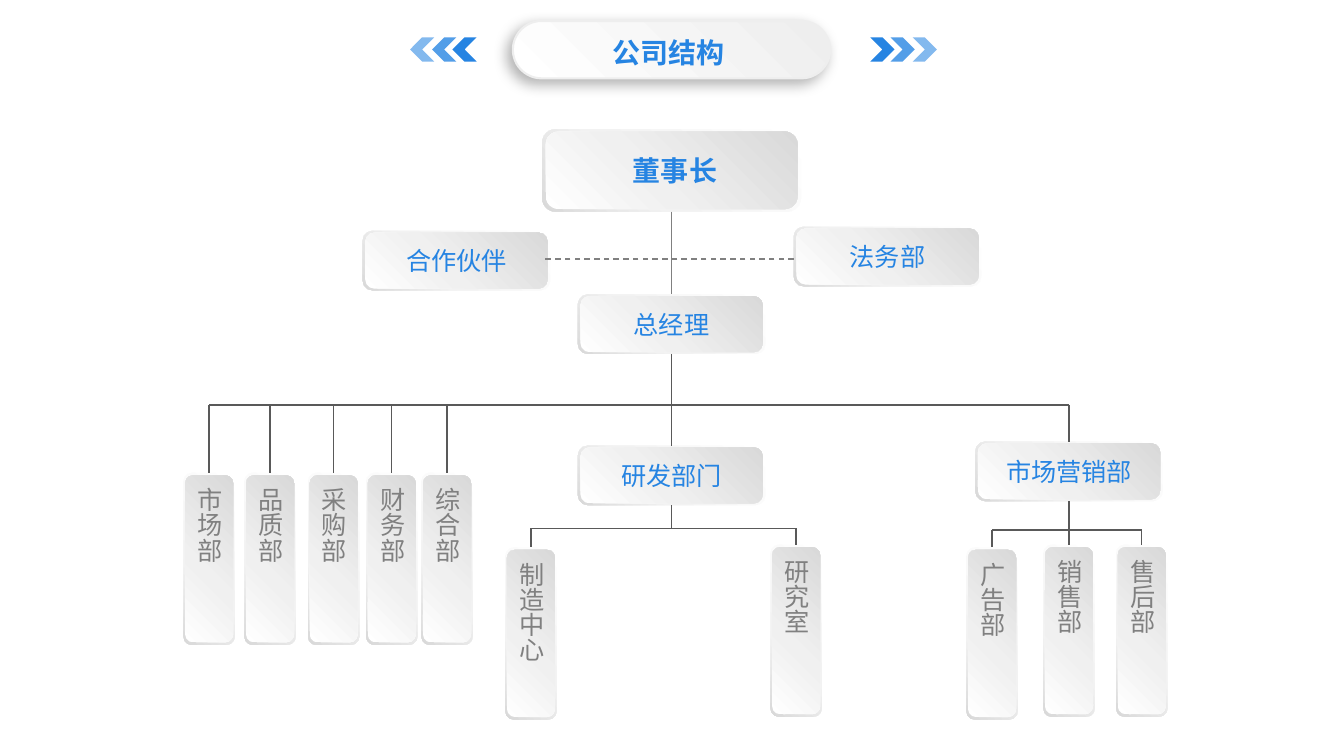
from lxml import etree
from pptx import Presentation
from pptx.dml.color import RGBColor
from pptx.enum.dml import MSO_LINE
from pptx.enum.shapes import MSO_CONNECTOR, MSO_SHAPE as SHAPE
from pptx.enum.text import MSO_ANCHOR, PP_ALIGN
from pptx.oxml import parse_xml
from pptx.oxml.ns import qn
from pptx.util import Pt

BLUE, GREY, DARK = "2684E2", "808080", "595959"
CJK_FONT, TITLE_FONT = "Noto Sans CJK SC", "Roboto Condensed"
NS = 'xmlns:a="http://schemas.openxmlformats.org/drawingml/2006/main"'
RIM_STOPS = [(0, "FFFFFF"), (62, "F2F2F2"), (100, "D9D9D9")]
FACE_STOPS = [(0, "FFFFFF"), (42, "F0F0F0"), (100, "D9D9D9")]
TOP, BOTTOM = 0, 2


def color(hex_value):
    return RGBColor.from_string(hex_value)


def add_box(slide, preset, left, top, width, height):
    box = slide.shapes.add_shape(preset, Pt(left), Pt(top), Pt(width), Pt(height))
    box.shadow.inherit = False
    box.line.fill.background()
    return box


def fill_gradient(box, stops, angle):
    box.fill.background()
    stop_xml = "".join(
        f'<a:gs pos="{pos * 1000}"><a:srgbClr val="{shade}"/></a:gs>' for pos, shade in stops)
    gradient = parse_xml(f'<a:gradFill {NS}><a:gsLst>{stop_xml}</a:gsLst>'
                         f'<a:lin ang="{angle * 60000}" scaled="0"/></a:gradFill>')
    properties = box.element.spPr
    properties.replace(properties.find(qn("a:noFill")), gradient)


def write(frame, text, size, shade, font=CJK_FONT, bold=False):
    frame.text = text
    frame.vertical_anchor = MSO_ANCHOR.MIDDLE
    paragraph = frame.paragraphs[0]
    paragraph.alignment = PP_ALIGN.CENTER
    run = paragraph.runs[0]
    run.font.size, run.font.bold = Pt(size), bold
    run.font.name = font
    run.font.color.rgb = color(shade)
    east_asian = etree.Element(qn("a:ea"), typeface=CJK_FONT)
    run.font._element.find(qn("a:latin")).addnext(east_asian)


def add_card(slide, text, center, top, width=134, height=42.5, inset=(1.8, 1.2),
             size=18, shade=BLUE, bold=False):
    """Rim and face of a raised card; returns the rim, to which lines are joined."""
    left = center - width / 2
    rim = add_box(slide, SHAPE.ROUNDED_RECTANGLE, left, top, width, height)
    fill_gradient(rim, RIM_STOPS, 135)
    dx, dy = inset
    face = add_box(slide, SHAPE.ROUNDED_RECTANGLE, left + dx, top + dy,
                   width - 2 * dx, height - 2 * dy)
    fill_gradient(face, FACE_STOPS, 315)
    write(face.text_frame, text, size, shade, bold=bold)
    return rim


def add_column(slide, text, center, top):
    """Tall card with vertical text that starts at the top."""
    rim = add_card(slide, text, center, top, 36.7, 123, (1.2, 1.8), shade=GREY)
    frame = slide.shapes[-1].text_frame
    frame.margin_left = frame.margin_right = 0
    frame._txBody.bodyPr.set("vert", "eaVert")
    frame.paragraphs[0].alignment = PP_ALIGN.LEFT
    return rim


def add_line(slide, start, end, shade=DARK):
    """Each end is a point (x, y) or a joined side (card, side index)."""
    line = slide.shapes.add_connector(MSO_CONNECTOR.STRAIGHT, 0, 0, 0, 0)
    line.line.color.rgb = color(shade)
    line.line.width = Pt(1)
    etree.SubElement(line._element.spPr, qn("a:effectLst"))
    (first, first_at), (last, last_at) = start, end
    if hasattr(first, "shape_id"):
        line.begin_connect(first, first_at)
    else:
        line.begin_x, line.begin_y = Pt(first), Pt(first_at)
    if hasattr(last, "shape_id"):
        line.end_connect(last, last_at)
    else:
        line.end_x, line.end_y = Pt(last), Pt(last_at)
    return line


def add_branch(slide, bus_y, children):
    """Horizontal bar with a drop to the top of every child."""
    centers = [(child.left + child.width / 2) / Pt(1) for child in children]
    add_line(slide, (min(centers), bus_y), (max(centers), bus_y))
    for center, child in zip(centers, children):
        add_line(slide, (center, bus_y), (child, TOP))


def add_header(slide):
    # Pill behind the title
    pill = add_box(slide, SHAPE.ROUNDED_RECTANGLE, 366.5, 15, 226.8, 41)
    pill.adjustments[0] = 0.5
    fill_gradient(pill, [(0, "EEEEEE"), (100, "FFFFFF")], 135)
    pill.line.color.rgb = color("EEEEEE")
    pill.line.width = Pt(1.5)
    effects = pill.element.spPr.find(qn("a:effectLst"))
    effects.append(parse_xml(
        f'<a:outerShdw {NS} blurRad="{Pt(10)}" dist="{Pt(5)}" dir="8100000" algn="tr" '
        'rotWithShape="0"><a:srgbClr val="000000"><a:alpha val="30000"/></a:srgbClr>'
        '</a:outerShdw>'))

    # Chevrons, mirrored on both sides
    middle, side = 481.3, 17.3
    for offset, opacity in [(140.7, 100), (155.2, 79), (171, 57)]:
        for left, turn in [(middle + offset, 0), (middle - offset - side, 180)]:
            chevron = add_box(slide, SHAPE.CHEVRON, left, 26.7, side, side)
            chevron.rotation = turn
            chevron.fill.solid()
            chevron.fill.fore_color.rgb = color(BLUE)
            shade = chevron.element.spPr.find(qn("a:solidFill"))[0]
            etree.SubElement(shade, qn("a:alpha"), val=str(opacity * 1000))

    # Title, brought in front of the pill
    title = slide.shapes.title
    title.left, title.top, title.width, title.height = Pt(395.3), Pt(22.3), Pt(165.6), Pt(29.5)
    write(title.text_frame, "公司结构", 20, BLUE, TITLE_FONT, True)
    title.element.getparent().append(title.element)


def main():
    prs = Presentation()
    prs.slide_width, prs.slide_height = Pt(960.5), Pt(540)
    slide = prs.slides.add_slide(prs.slide_layouts[5])
    add_header(slide)

    # Leadership
    axis, market_axis = 480, 764
    chairman = add_card(slide, "董事长", axis, 92.2, 185, 59, (2.5, 1.8), 20, bold=True)
    slide.shapes[-1].text_frame.margin_left = Pt(12)
    add_card(slide, "合作伙伴", 326.2, 164.9)
    add_card(slide, "法务部", 634.3, 162)
    manager = add_card(slide, "总经理", axis, 210.3)
    add_line(slide, (chairman, BOTTOM), (manager, TOP), GREY)
    advisers = add_line(slide, (567.4, 185), (389.5, 185), GREY)
    advisers.line.dash_style = MSO_LINE.DASH

    # Departments under the general manager
    research = add_card(slide, "研发部门", axis, 318.3)
    marketing = add_card(slide, "市场营销部", market_axis, 315.4)
    departments = [add_column(slide, text, center, 337.7) for text, center in [
        ("市场部", 149.5), ("品质部", 193), ("采购部", 238.5), ("财务部", 280), ("综合部", 319.5)]]
    add_line(slide, (manager, BOTTOM), (research, TOP))
    add_branch(slide, 289.4, departments + [marketing])

    # Units under research and marketing
    branches = [
        (research, axis, 377.3, [("制造中心", 379.5, 391), ("研究室", 569, 389)]),
        (marketing, market_axis, 378.5,
         [("广告部", 709, 391), ("销售部", market_axis, 389), ("售后部", 816, 389)]),
    ]
    for parent, center, bus_y, units in branches:
        columns = [add_column(slide, *unit) for unit in units]
        add_line(slide, (parent, BOTTOM), (center, bus_y))
        add_branch(slide, bus_y, columns)

    prs.save("out.pptx")


if __name__ == "__main__":
    main()
